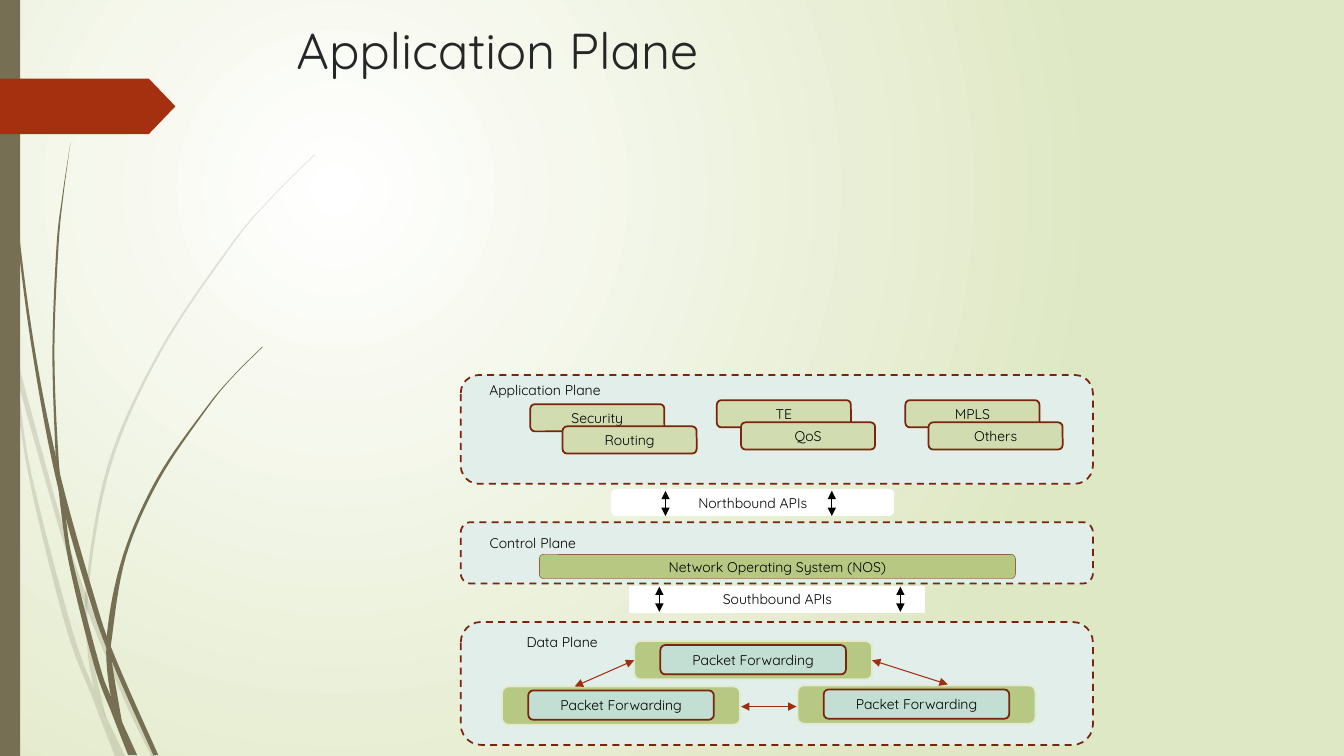
import dataclasses
from typing import Any, NamedTuple, Optional

import pptx
import pptx.dml.color
import pptx.enum.dml
import pptx.enum.shapes
import pptx.enum.text
import pptx.oxml
import pptx.oxml.ns
import pptx.util

Inches = pptx.util.Inches
Pt = pptx.util.Pt
MSO_SHAPE = pptx.enum.shapes.MSO_SHAPE
ANCHOR = pptx.enum.text.MSO_ANCHOR
ALIGN = pptx.enum.text.PP_ALIGN
NS = pptx.oxml.ns.nsdecls("a")


@dataclasses.dataclass(frozen=True)
class Theme:
    font: str = "Quicksand"
    title_size: float = 36
    label_size: float = 10
    title: str = "262626"
    ink: str = "000000"
    white: str = "FFFFFF"
    backdrop: str = "DFE8C4"
    stem: str = "766F54"
    tab: str = "A53010"
    plane: str = "E1EEE9"
    border: str = "7A240C"
    app: str = "D1DDB0"
    switch: str = "B6C882"
    switch_edge: str = "E3EACF"
    forwarding: str = "C3DED3"
    link: str = "9E2E0F"
    line: float = 1.25
    thin: float = 0.25
    arrow: float = 0.75


T = Theme()


class Box(NamedTuple):
    x: float
    y: float
    w: float
    h: float
    fill: str
    edge: Optional[str] = None
    text: str = ""
    weight: float = T.line
    dashed: bool = False
    shape: Any = MSO_SHAPE.ROUNDED_RECTANGLE


class Arrow(NamedTuple):
    x1: float
    y1: float
    x2: float
    y2: float
    color: str = T.ink


class Stem(NamedTuple):
    left: list
    right: list
    faint: bool = False


def rgb(value: str) -> pptx.dml.color.RGBColor:
    return pptx.dml.color.RGBColor.from_string(value)


def apply(obj: Any, values: dict) -> None:
    for name, value in values.items():
        setattr(obj, name, value)


def write(tf: Any, text: str, size: float, color: str, align: Any, anchor: Any) -> None:
    apply(tf, {"word_wrap": True, "vertical_anchor": anchor})
    p = tf.paragraphs[0]
    p.alignment = align
    r = p.add_run()
    r.text = text
    apply(r.font, {"name": T.font, "size": Pt(size)})
    r.font.color.rgb = rgb(color)


def paint(sp: Any, fill: str) -> None:
    sp.shadow.inherit = False
    sp.fill.solid()
    sp.fill.fore_color.rgb = rgb(fill)


def draw_box(shapes: Any, b: Box) -> Any:
    sp = shapes.add_shape(b.shape, Inches(b.x), Inches(b.y), Inches(b.w), Inches(b.h))
    paint(sp, b.fill)
    if b.edge:
        sp.line.color.rgb = rgb(b.edge)
        sp.line.width = Pt(b.weight)
    else:
        sp.line.fill.background()
    if b.dashed:
        sp.line.dash_style = pptx.enum.dml.MSO_LINE.DASH
    if b.text:
        write(sp.text_frame, b.text, T.label_size, T.ink, ALIGN.CENTER, ANCHOR.MIDDLE)
    return sp


def draw_arrow(shapes: Any, a: Arrow) -> None:
    c = shapes.add_connector(pptx.enum.shapes.MSO_CONNECTOR.STRAIGHT,
                             *(Inches(v) for v in (a.x1, a.y1, a.x2, a.y2)))
    c.line.color.rgb = rgb(a.color)
    c.line.width = Pt(T.arrow)
    for end in ("headEnd", "tailEnd"):
        c.line._get_or_add_ln().append(pptx.oxml.parse_xml(f'<a:{end} {NS} type="triangle"/>'))
    c._element.spPr.append(pptx.oxml.parse_xml(f"<a:effectLst {NS}/>"))


def smooth_edge(points: list, steps: int = 8) -> list:
    """Catmull-Rom curve through the points."""
    padded = [points[0], *points, points[-1]]
    curve = [points[0]]
    for a, b, c, d in zip(padded, padded[1:], padded[2:], padded[3:]):
        for i in range(1, steps + 1):
            t = i / steps
            curve.append(tuple(
                b[k] + t * (c[k] - a[k]) / 2
                + t ** 2 * (2 * a[k] - 5 * b[k] + 4 * c[k] - d[k]) / 2
                + t ** 3 * (3 * b[k] - a[k] - 3 * c[k] + d[k]) / 2 for k in (0, 1)))
    return curve


def draw_stem(shapes: Any, s: Stem) -> None:
    outline = smooth_edge(s.left) + smooth_edge(s.right)[::-1]
    pts = [(Inches(x), Inches(y)) for x, y in outline]
    builder = shapes.build_freeform(*pts[0])
    builder.add_line_segments(pts[1:], close=True)
    sp = builder.convert_to_shape()
    paint(sp, T.stem)
    sp.line.fill.background()
    if s.faint:
        color = sp._element.spPr.find(".//" + pptx.oxml.ns.qn("a:srgbClr"))
        color.append(pptx.oxml.parse_xml(f'<a:alpha {NS} val="20000"/>'))


# Grass stems: left and right edge of each, top to bottom
STEMS = [
    Stem([(0, 2.99), (.11, 3.5), (.17, 3.76), (.58, 5.22), (.84, 5.99), (1.23, 6.94), (1.5, 7.5)],
         [(0, 2.82), (.09, 3.22), (.14, 3.45), (.62, 5.2), (.92, 6.07), (1.27, 6.92), (1.55, 7.5)], True),
    Stem([(.11, 3.5), (.28, 4.7), (.65, 6.21), (.92, 6.93), (1.14, 7.5)],
         [(.11, 3.5), (.17, 3.76), (.31, 4.69), (.7, 6.19), (.93, 6.83), (1.24, 7.5)], True),
    Stem([(3.12, 1.53), (2.68, 1.97), (2.28, 2.44), (1.58, 3.48), (1.07, 4.61), (.85, 5.84), (.87, 6.46), (.93, 6.83)],
         [(3.12, 1.54), (2.68, 1.98), (2.29, 2.45), (1.6, 3.49), (1.1, 4.62), (.88, 5.84), (.91, 6.46), (1.05, 7.11)], True),
    Stem([(.03, 0), (.07, 1.1), (.17, 2.33), (.33, 3.55), (.56, 4.77), (.88, 5.92), (1.11, 6.56), (1.52, 7.49)],
         [(.04, 0), (.08, 1.09), (.19, 2.32), (.36, 3.55), (.6, 4.72), (.93, 5.9), (1.13, 6.49), (1.57, 7.49)]),
    Stem([(.57, 4.77), (.68, 5.57), (.93, 6.59), (1.11, 7.08), (1.27, 7.49)],
         [(.57, 4.77), (.64, 5.05), (.72, 5.56), (.98, 6.57), (1.1, 6.91), (1.36, 7.49)]),
    Stem([(.7, 1.41), (.62, 1.93), (.56, 2.45), (.52, 3.49), (.55, 4.49), (.57, 4.77)],
         [(.7, 1.41), (.63, 1.93), (.58, 2.45), (.54, 3.49), (.58, 4.53), (.64, 5.05)]),
    Stem([(2.6, 3.44), (2.31, 3.73), (2.04, 4.05), (1.56, 4.74), (1.22, 5.51), (1.06, 6.31), (1.1, 6.91), (1.22, 7.19)],
         [(2.61, 3.44), (2.31, 3.74), (2.05, 4.06), (1.58, 4.76), (1.25, 5.52), (1.11, 6.33), (1.11, 6.56), (1.21, 7.16)]),
]

# Planes, their labels and contents
PLANES = [Box(4.57, y, 6.27, h, T.plane, T.border, dashed=True)
          for y, h in ((6.17, 1.22), (5.18, .61), (3.72, 1.08))]
LABELS = [Box(x, y, w, h, T.plane, T.plane, text) for x, y, w, h, text in (
    (4.73, 6.23, 1.69, .28, "Data Plane"),
    (4.68, 5.23, 1.21, .32, "Control Plane"),
    (4.69, 3.75, 1.43, .23, "Application Plane"))]
SWITCHES = [box for x, y in ((6.29, 6.36), (4.98, 6.81), (7.91, 6.8)) for box in (
    Box(x, y, 2.36, .38, T.switch, T.switch_edge),
    Box(x + .26, y + .04, 1.84, .29, T.forwarding, T.border, "Packet Forwarding"))]
APPS = [Box(x, y, 1.33, .27, T.app, T.border, text) for x, y, text in (
    (5.26, 4.01, "Security"), (5.58, 4.23, "Routing"),
    (7.11, 3.97, "TE"), (7.35, 4.19, "QoS"),
    (8.98, 3.97, "MPLS"), (9.21, 4.19, "Others"))]
INTERFACES = [
    Box(6.25, 5.82, 2.92, .25, T.white, T.white, "Southbound APIs", shape=MSO_SHAPE.RECTANGLE),
    Box(5.35, 5.5, 4.72, .24, T.switch, T.border, "Network Operating System (NOS)", T.thin),
    Box(6.07, 4.86, 2.79, .25, T.white, T.white, "Northbound APIs")]
ARROWS = [Arrow(5.7, 6.81, 6.29, 6.55, T.link), Arrow(8.65, 6.55, 9.4, 6.79, T.link),
          Arrow(7.35, 7.01, 7.9, 7.01, T.link)]
ARROWS += [Arrow(x, y, x, y + .25) for x, y in ((6.54, 5.82), (8.93, 5.82), (6.6, 4.87), (8.25, 4.87))]

prs = pptx.Presentation()
apply(prs, {"slide_width": Inches(13.33), "slide_height": Inches(7.5)})
slide = prs.slides.add_slide(prs.slide_layouts[5])
shapes = slide.shapes

# Background: radial gradient
fill = slide.background.fill
fill.gradient()
for stop, position, color in zip(fill.gradient_stops, (0, 1), (T.white, T.backdrop)):
    stop.position = position
    stop.color.rgb = rgb(color)
lin = slide.background._cSld.find(".//" + pptx.oxml.ns.qn("a:lin"))
lin.getparent().replace(lin, pptx.oxml.parse_xml(
    f'<a:path {NS} path="circle"><a:fillToRect l="50000" t="50000" r="100000" b="100000"/></a:path>'))

# Side decoration
for stem in STEMS:
    draw_stem(shapes, stem)
draw_box(shapes, Box(0, 0, .2, 7.5, T.stem, shape=MSO_SHAPE.RECTANGLE))
tab = draw_box(shapes, Box(0, .78, 1.74, .55, T.tab, shape=MSO_SHAPE.PENTAGON))
tab.adjustments[0] = .48

# Title
title = shapes.title
apply(title, {"left": Inches(2.84), "top": Inches(.14), "width": Inches(9.75), "height": Inches(.82)})
write(title.text_frame, "Application Plane", T.title_size, T.title, ALIGN.LEFT, ANCHOR.TOP)

# Diagram
for box in PLANES + LABELS + SWITCHES + INTERFACES + APPS:
    draw_box(shapes, box)
for arrow in ARROWS:
    draw_arrow(shapes, arrow)

prs.save("out.pptx")
